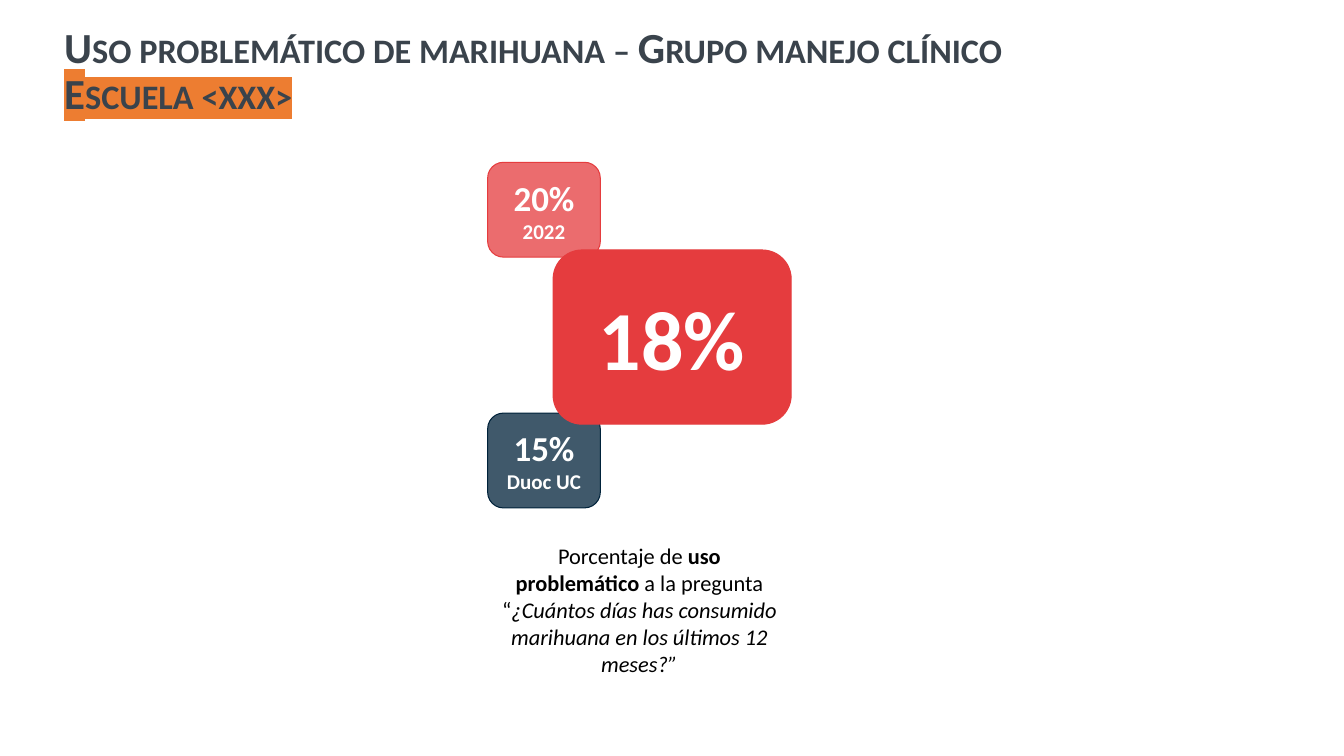
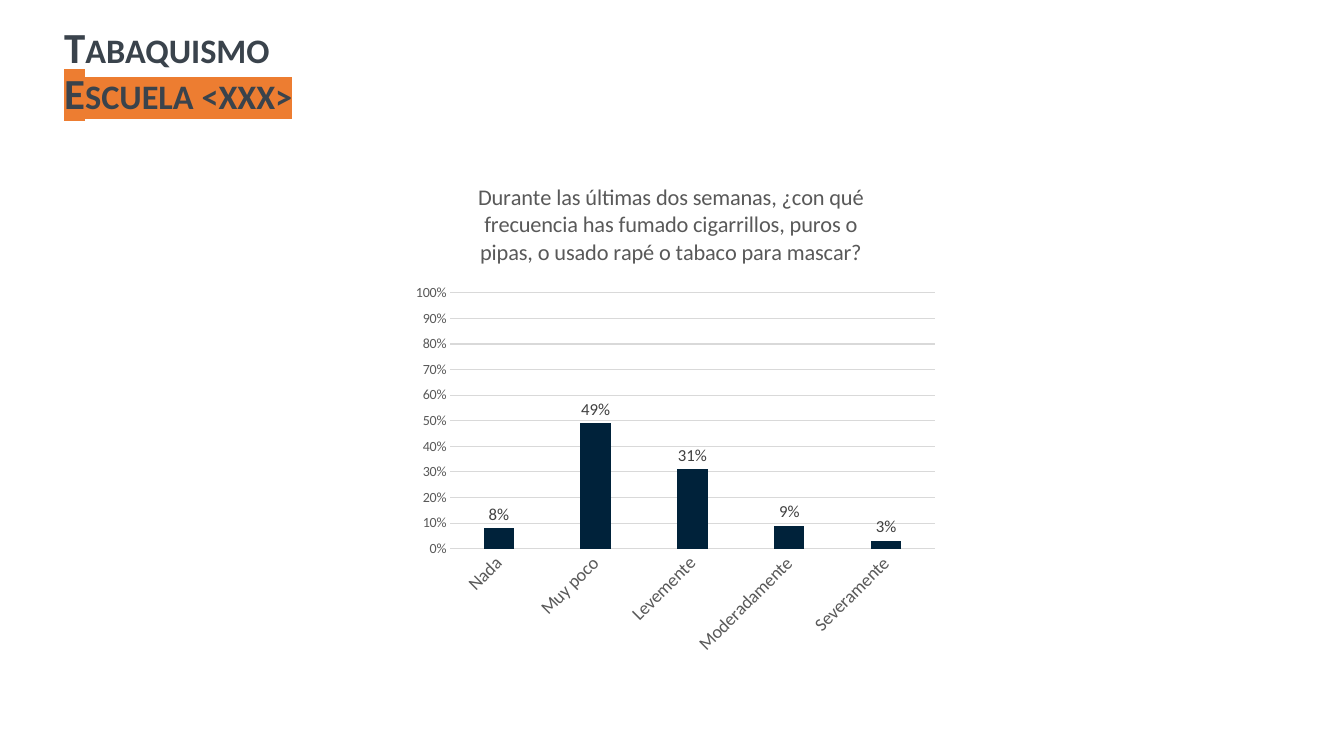
import pptx
import pptx.chart.data
import pptx.dml.color
import pptx.enum.chart
import pptx.enum.shapes
import pptx.enum.text
import pptx.oxml
import pptx.oxml.ns
import pptx.util
from lxml import etree
from pptx.util import Cm, Pt

FONT = "Calibri"
TITLE_GREY, ORANGE = "3A434C", "ED7D31"
RED, NAVY, WHITE, BLACK = "E53C3E", "00223A", "FFFFFF", "000000"
AXIS_GREY, LABEL_GREY, GRID_GREY = "595959", "404040", "D9D9D9"

SCHOOL = "Escuela <xxx>"
MARIJUANA_TITLE = "Uso problemático de marihuana – Grupo manejo clínico "
TOBACCO_TITLE = "Tabaquismo"

# left, top, width, height in cm; fill; opacity in percent; (text, size) lines
CARDS = [
    ((12.29, 4.09, 2.84, 2.39), RED, 75, [("20%", 25), ("2022", 15)]),
    ((12.29, 10.41, 2.84, 2.39), NAVY, 75, [("15%", 25), ("Duoc UC", 15)]),
    ((13.94, 6.3, 6, 4.39), RED, 100, [("18%", 60)]),
]

CAPTION_BOX = (12.29, 13.54, 7.65, 3.68)
CAPTION = [  # text, bold, italic
    ("Porcentaje de ", False, False),
    ("uso problemático", True, False),
    (" a la pregunta “", False, False),
    ("¿Cuántos días has consumido marihuana en los últimos 12 meses?”", False, True),
]

CHART_BOX = (10.13, 4.09, 13.56, 12.65)
PLOT_AREA = {"x": 0.09, "y": 0.26, "w": 0.9, "h": 0.51}
QUESTION = ("Durante las últimas dos semanas, ¿con qué frecuencia has fumado "
            "cigarrillos, puros o pipas, o usado rapé o tabaco para mascar?")
FREQUENCIES = {"Nada": 0.08, "Muy poco": 0.49, "Levemente": 0.31,
               "Moderadamente": 0.09, "Severamente": 0.03}


def rgb(color):
    return pptx.dml.color.RGBColor.from_string(color)


def place(box):
    return [Cm(length) for length in box]


def style(font, size, color, bold=False, italic=False):
    font.size, font.bold, font.italic, font.name = Pt(size), bold, italic, FONT
    font.color.rgb = rgb(color)


def child(parent, tag, **attributes):
    return etree.SubElement(parent, pptx.oxml.ns.qn(tag), attributes)


def add_text_box(slide, box):
    frame = slide.shapes.add_textbox(*place(box)).text_frame
    frame.word_wrap = True
    return frame


def add_title(slide, topic):
    frame = add_text_box(slide, (1.37, 0.64, 32.33, 2.39))
    frame.vertical_anchor = pptx.enum.text.MSO_ANCHOR.MIDDLE
    paragraph = frame.paragraphs[0]
    paragraph.text = f"{topic}\v{SCHOOL}"
    paragraph.line_spacing = 0.9
    for run in paragraph.runs:
        style(run.font, 30.6, TITLE_GREY, bold=True)
        run.font._element.set("cap", "small")
    properties = paragraph.runs[-1].font._element
    highlight = child(properties, "a:highlight")
    child(highlight, "a:srgbClr", val=ORANGE)
    properties.find(pptx.oxml.ns.qn("a:solidFill")).addnext(highlight)


def add_card(slide, box, color, opacity, lines):
    card = slide.shapes.add_shape(
        pptx.enum.shapes.MSO_SHAPE.ROUNDED_RECTANGLE, *place(box))
    card.shadow.inherit = False
    card.fill.solid()
    card.fill.fore_color.rgb = rgb(color)
    if opacity < 100:
        fill_color = card.fill._xPr.find(".//" + pptx.oxml.ns.qn("a:srgbClr"))
        child(fill_color, "a:alpha", val=str(opacity * 1000))
    card.line.color.rgb = rgb(color)
    card.line.width = Pt(0.75)
    frame = card.text_frame
    frame.word_wrap = True
    frame.vertical_anchor = pptx.enum.text.MSO_ANCHOR.MIDDLE
    frame.text = "\n".join(text for text, _ in lines)
    for paragraph, (_, size) in zip(frame.paragraphs, lines):
        paragraph.alignment = pptx.enum.text.PP_ALIGN.CENTER
        style(paragraph.runs[0].font, size, WHITE, bold=True)


def add_caption(slide):
    paragraph = add_text_box(slide, CAPTION_BOX).paragraphs[0]
    paragraph.alignment = pptx.enum.text.PP_ALIGN.CENTER
    for text, bold, italic in CAPTION:
        run = paragraph.add_run()
        run.text = text
        style(run.font, 16, BLACK, bold, italic)


def fix_plot_area(chart):
    """Give the inner plot area a fixed share of the chart."""
    plot_area = chart._chartSpace.chart.plotArea
    for old in plot_area.findall(pptx.oxml.ns.qn("c:layout")):
        plot_area.remove(old)
    layout = child(plot_area, "c:layout")
    plot_area.insert(0, layout)
    manual = child(layout, "c:manualLayout")
    child(manual, "c:layoutTarget", val="inner")
    for side in "xy":
        child(manual, f"c:{side}Mode", val="edge")
    for side, share in PLOT_AREA.items():
        child(manual, f"c:{side}", val=str(share))


def add_frequency_chart(slide):
    data = pptx.chart.data.CategoryChartData(number_format="0%")
    data.categories = list(FREQUENCIES)
    data.add_series("Series 1", list(FREQUENCIES.values()))
    chart = slide.shapes.add_chart(
        pptx.enum.chart.XL_CHART_TYPE.COLUMN_CLUSTERED,
        *place(CHART_BOX), data).chart
    style(chart.font, 10, BLACK)
    chart.has_legend = False
    chart.has_title = True
    chart.chart_title.text_frame.text = QUESTION
    style(chart.chart_title.text_frame.paragraphs[0].runs[0].font, 16, AXIS_GREY)
    chart.chart_title.include_in_layout = False
    fix_plot_area(chart)

    no_ticks = pptx.enum.chart.XL_TICK_MARK.NONE
    category_axis, value_axis = chart.category_axis, chart.value_axis
    for axis, size in ((category_axis, 13), (value_axis, 10)):
        axis.major_tick_mark = axis.minor_tick_mark = no_ticks
        style(axis.tick_labels.font, size, AXIS_GREY)
    category_axis._element.txPr.bodyPr.set("rot", "-2700000")
    value_axis.minimum_scale, value_axis.maximum_scale = 0, 1
    value_axis.major_unit = 0.1
    value_axis.tick_labels.number_format = "0%"
    value_axis.tick_labels.number_format_is_linked = False
    value_axis.format.line.fill.background()
    for line in (category_axis.format.line, value_axis.major_gridlines.format.line):
        line.color.rgb = rgb(GRID_GREY)
        line.width = Pt(0.75)

    plot = chart.plots[0]
    plot.vary_by_categories = False
    plot.gap_width, plot.overlap = 219, -27
    bars = plot.series[0].format.fill
    bars.solid()
    bars.fore_color.rgb = rgb(NAVY)
    plot.has_data_labels = True
    labels = plot.data_labels
    labels.show_value = True
    labels.number_format = "0%"
    labels.number_format_is_linked = False
    labels.position = pptx.enum.chart.XL_LABEL_POSITION.OUTSIDE_END
    style(labels.font, 12, LABEL_GREY)


def main():
    deck = pptx.Presentation()
    deck.slide_width, deck.slide_height = Cm(33.87), Cm(19.05)
    blank = deck.slide_layouts[6]

    marijuana = deck.slides.add_slide(blank)
    add_title(marijuana, MARIJUANA_TITLE)
    add_caption(marijuana)
    for card in CARDS:
        add_card(marijuana, *card)

    tobacco = deck.slides.add_slide(blank)
    add_title(tobacco, TOBACCO_TITLE)
    add_frequency_chart(tobacco)

    deck.save("out.pptx")


if __name__ == "__main__":
    main()
